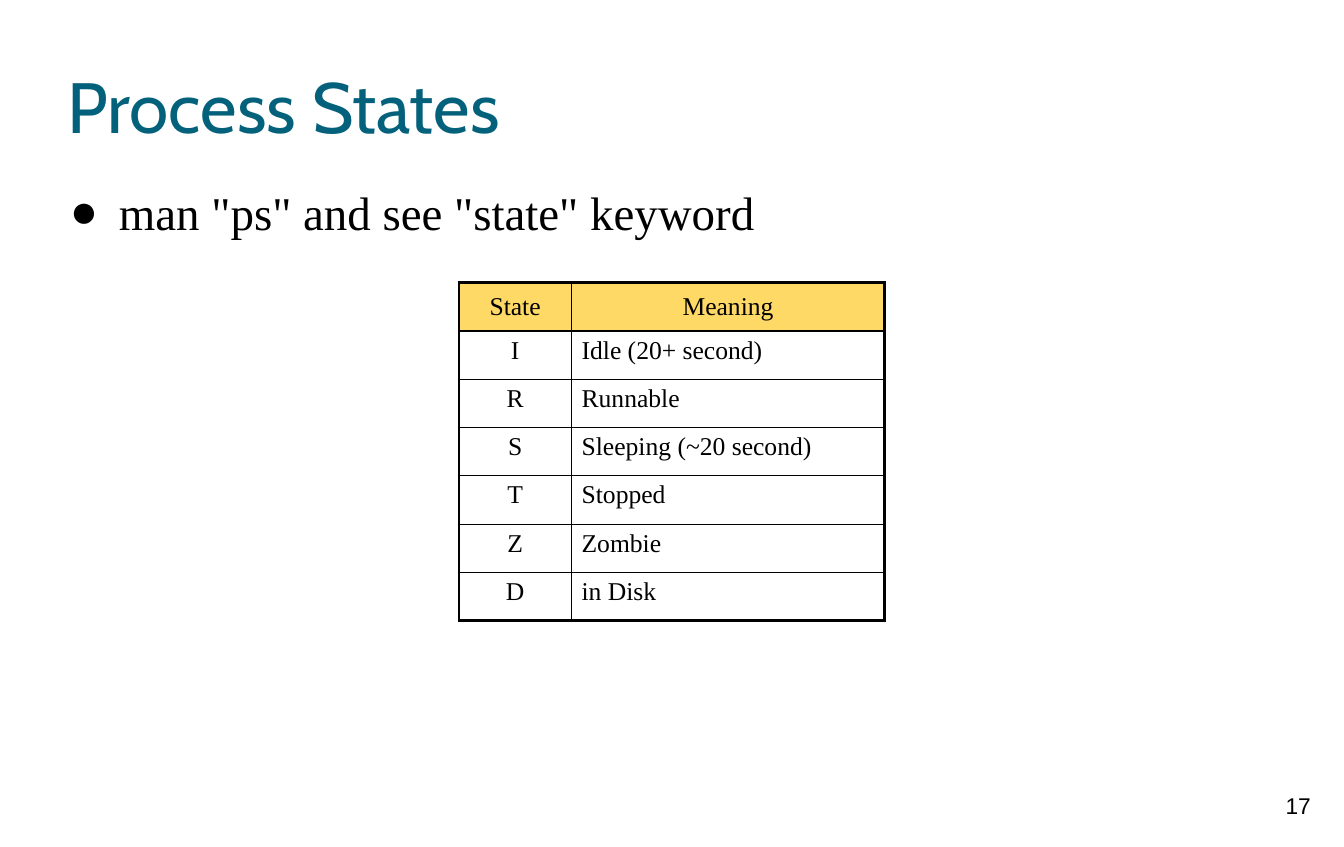
"""Builds the slide on process states with its table of state letters."""
from dataclasses import dataclass
from typing import Optional

from lxml.etree import SubElement
from pptx import Presentation
from pptx.dml.color import RGBColor
from pptx.enum.text import MSO_ANCHOR, MSO_AUTO_SIZE, PP_ALIGN
from pptx.oxml.ns import qn
from pptx.util import Cm, Pt


@dataclass(frozen=True)
class TextStyle:
    font: str
    size: float
    color: str


@dataclass(frozen=True)
class Theme:
    title: TextStyle = TextStyle("Cabin", 50, "04617B")
    body: TextStyle = TextStyle("Times New Roman", 33, "000000")
    cell: TextStyle = TextStyle("Times New Roman", 18, "000000")
    number: TextStyle = TextStyle("Arial", 16, "000000")
    header_fill: str = "FFD966"
    cell_fill: str = "FFFFFF"
    line: str = "000000"
    outer_line: float = 2.25
    inner_line: float = 1


@dataclass(frozen=True)
class Area:
    left: float
    top: float
    width: float
    height: float


@dataclass(frozen=True)
class State:
    letter: str
    meaning: str


THEME = Theme()
TITLE_AREA = Area(1.68, 0.84, 30, 3.51)
BODY_AREA = Area(1.68, 4.34, 30.07, 15.72)
NUMBER_AREA = Area(31.19, 19.38, 2.01, 1.6)
TABLE_AREA = Area(11.38, 7.01, 10.56, 8.38)
LETTER_WIDTH = 2.79
STATES = [
    State("State", "Meaning"),
    State("I", "Idle (20+ second)"),
    State("R", "Runnable"),
    State("S", "Sleeping (~20 second)"),
    State("T", "Stopped"),
    State("Z", "Zombie"),
    State("D", "in Disk"),
]


def place(shape, area: Area) -> None:
    shape.left, shape.top = Cm(area.left), Cm(area.top)
    shape.width, shape.height = Cm(area.width), Cm(area.height)


def prepare_frame(frame, margin: float, anchor: MSO_ANCHOR) -> None:
    frame.word_wrap = True
    frame.auto_size = MSO_AUTO_SIZE.NONE
    frame.vertical_anchor = anchor
    frame.margin_left = frame.margin_right = Cm(margin)
    frame.margin_top = frame.margin_bottom = Cm(margin)


def write(para, text: str, style: TextStyle, align: PP_ALIGN) -> None:
    para.alignment = align
    para.space_before = Pt(0)
    span = para.add_run()
    span.text = text
    span.font.name = style.font
    span.font.size = Pt(style.size)
    span.font.color.rgb = RGBColor.from_string(style.color)


def add_bullet(para, symbol: str, indent: float, hanging: float) -> None:
    properties = para._p.get_or_add_pPr()
    properties.set("marL", str(Cm(indent)))
    properties.set("indent", str(-Cm(hanging)))
    color = SubElement(properties, qn("a:buClr"))
    SubElement(color, qn("a:srgbClr"), val=THEME.body.color)
    SubElement(properties, qn("a:buFont"), typeface=THEME.body.font)
    SubElement(properties, qn("a:buChar"), char=symbol)


def draw_borders(cell, outer_sides: dict[str, bool]) -> None:
    properties = cell._tc.get_or_add_tcPr()
    for side, is_outer in outer_sides.items():
        width = THEME.outer_line if is_outer else THEME.inner_line
        line = SubElement(properties, qn(f"a:ln{side}"), w=str(Pt(width)))
        fill = SubElement(line, qn("a:solidFill"))
        SubElement(fill, qn("a:srgbClr"), val=THEME.line)


def add_state_table(page, states: list[State], area: Area) -> None:
    last = len(states) - 1
    frame = page.shapes.add_table(len(states), 2, Cm(area.left), Cm(area.top),
                                  Cm(area.width), Cm(area.height))
    table = frame.table
    table.columns[0].width = Cm(LETTER_WIDTH)
    table.columns[1].width = Cm(area.width - LETTER_WIDTH)
    for row, state in enumerate(states):
        is_header = row == 0
        for column, text in enumerate((state.letter, state.meaning)):
            cell = table.cell(row, column)
            centred = is_header or column == 0
            align = PP_ALIGN.CENTER if centred else PP_ALIGN.LEFT
            write(cell.text_frame.paragraphs[0], text, THEME.cell, align)
            cell.vertical_anchor = MSO_ANCHOR.MIDDLE if is_header else MSO_ANCHOR.TOP
            draw_borders(cell, {"L": column == 0, "R": column == 1,
                                "T": is_header, "B": row == last})
            cell.fill.solid()
            color = THEME.header_fill if is_header else THEME.cell_fill
            cell.fill.fore_color.rgb = RGBColor.from_string(color)


def add_text(shape, area: Area, text: str, style: TextStyle, align: PP_ALIGN,
             margin: float = 0, anchor: MSO_ANCHOR = MSO_ANCHOR.TOP,
             bullet: Optional[str] = None) -> None:
    place(shape, area)
    prepare_frame(shape.text_frame, margin, anchor)
    para = shape.text_frame.paragraphs[0]
    if bullet:
        add_bullet(para, bullet, 1.27, 1.22)
        para.line_spacing = 1.15
    write(para, text, style, align)


def main() -> None:
    deck = Presentation()
    deck.slide_width, deck.slide_height = Cm(33.33), Cm(21)
    page = deck.slides.add_slide(deck.slide_layouts[1])
    add_text(page.shapes.title, TITLE_AREA, "Process States", THEME.title,
             PP_ALIGN.LEFT, anchor=MSO_ANCHOR.MIDDLE)
    add_text(page.placeholders[1], BODY_AREA, 'man "ps" and see "state" keyword',
             THEME.body, PP_ALIGN.LEFT, bullet="●")
    add_state_table(page, STATES, TABLE_AREA)
    number_box = page.shapes.add_textbox(0, 0, 0, 0)
    add_text(number_box, NUMBER_AREA, "17", THEME.number, PP_ALIGN.CENTER, margin=0.25)
    deck.save("out.pptx")


if __name__ == "__main__":
    main()
